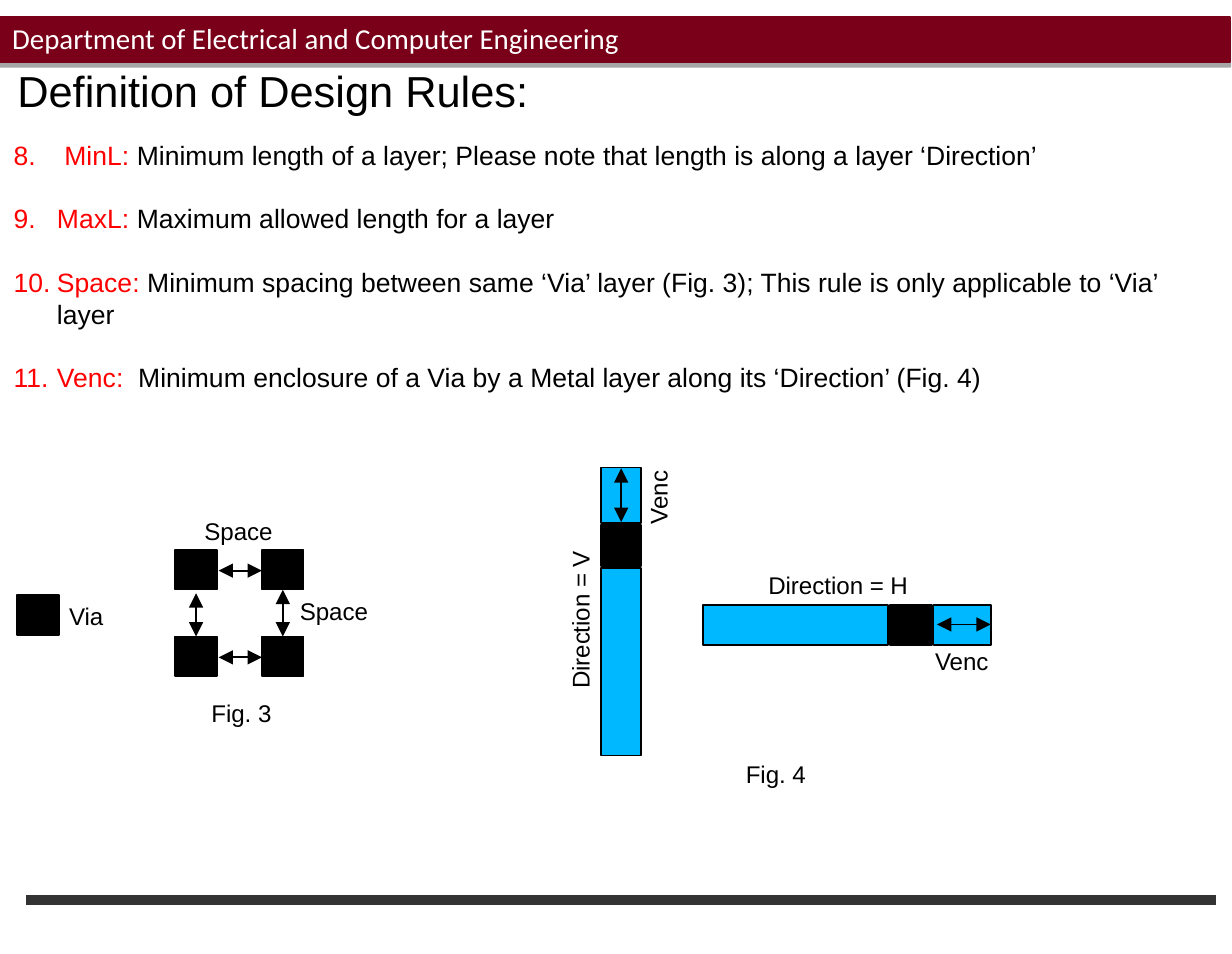
from dataclasses import dataclass
from itertools import product

from lxml.etree import SubElement as sub
from pptx import Presentation
from pptx.dml.color import RGBColor as RGB
from pptx.enum.shapes import MSO_CONNECTOR as CONNECTOR, MSO_SHAPE as SHAPE
from pptx.enum.text import MSO_ANCHOR as ANCHOR, MSO_AUTO_SIZE as AUTO, PP_ALIGN as ALIGN
from pptx.oxml.ns import qn
from pptx.util import Inches, Pt


@dataclass(frozen=True)
class Theme:
    maroon: RGB = RGB(0x7A, 0x00, 0x19)
    metal: RGB = RGB(0x00, 0xB8, 0xFF)
    red: RGB = RGB(0xFF, 0x00, 0x00)
    black: RGB = RGB(0x00, 0x00, 0x00)
    white: RGB = RGB(0xFF, 0xFF, 0xFF)
    rail: RGB = RGB(0x33, 0x33, 0x33)
    font: str = "Arial"
    banner_font: str = "Calibri"
    title_size: float = 18
    banner_size: float = 12
    rule_size: float = 11
    rule_pitch: float = 13.2
    label_size: float = 10
    outline: float = 0.75


RULES = [
    (" MinL:", " Minimum length of a layer; Please note that length is along a layer ‘Direction’"),
    ("MaxL: ", "Maximum allowed length for a layer"),
    ("Space:", " Minimum spacing between same ‘Via’ layer (Fig. 3); "
               "This rule is only applicable to ‘Via’ layer"),
    ("Venc:", "  Minimum enclosure of a Via by a Metal layer along its ‘Direction’ (Fig. 4)"),
]
FIRST_RULE = 8
VIA_SIZE = (0.24, 0.23)
VIA_LEFT, VIA_TOP, VIA_PITCH = 1.01, 3.17, 0.5
LABELS = [
    ("Fig. 3", 1.12, 3.98, 0.54, 0),
    ("Space", 1.63, 3.39, 0.59, 0),
    ("Space", 1.08, 2.93, 0.59, 0),
    ("Fig. 4", 4.2, 4.33, 0.54, 0),
    ("Venc", 5.29, 3.68, 0.51, 0),
    ("Direction = H", 4.33, 3.24, 1, 0),
    ("Venc", 3.54, 2.73, 0.51, 270),
    ("Direction = V", 2.85, 3.44, 0.99, 270),
    ("Via", 0.3, 3.42, 0.4, 0),
]
METALS = [
    (4.05, 3.49, 1.07, 0),
    (5.38, 3.49, 0.33, 0),
    (3.04, 3.7, 1.08, 270),
    (3.42, 2.74, 0.32, 270),
]
ARROWS = [
    (1.63, 3.67, 1.63, 3.4),
    (1.13, 3.67, 1.13, 3.42),
    (1.26, 3.29, 1.51, 3.29),
    (1.26, 3.79, 1.51, 3.79),
    (5.4, 3.6, 5.71, 3.6),
    (3.58, 3.01, 3.58, 2.7),
]


def write(para, text, *, size, color, font):
    span = para.add_run()
    span.text = text
    span.font.size = Pt(size)
    span.font.name = font
    span.font.color.rgb = color


def set_margins(frame, across, down):
    frame.margin_left = frame.margin_right = Inches(across)
    frame.margin_top = frame.margin_bottom = Inches(down)


class SlideBuilder:
    """Draws styled elements on the current slide."""

    def __init__(self, page, theme):
        self.page = page
        self.theme = theme

    def rect(self, left, top, width, height, color, line=None, rotation=0):
        box = self.page.shapes.add_shape(
            SHAPE.RECTANGLE, Inches(left), Inches(top), Inches(width), Inches(height))
        box.shadow.inherit = False
        box.fill.solid()
        box.fill.fore_color.rgb = color
        box.line.color.rgb = line or self.theme.black
        box.line.width = Pt(self.theme.outline)
        box.rotation = rotation
        return box

    def via(self, left, top, rotation=0):
        self.rect(left, top, *VIA_SIZE, self.theme.black, rotation=rotation)

    def line(self, x1, y1, x2, y2, color, width):
        link = self.page.shapes.add_connector(
            CONNECTOR.STRAIGHT, Inches(x1), Inches(y1), Inches(x2), Inches(y2))
        link.line.color.rgb = color
        link.line.width = Pt(width)
        sub(link.element.spPr, qn("a:effectLst"))
        return link

    def arrow(self, *ends):
        link = self.line(*ends, self.theme.black, self.theme.outline)
        stroke = link.line._get_or_add_ln()
        for tip in ("a:headEnd", "a:tailEnd"):
            sub(stroke, qn(tip), type="triangle")

    def banner(self, text):
        theme = self.theme
        box = self.rect(0, 0.1, 7.09, 0.26, theme.maroon, theme.maroon)
        effects = box.element.spPr.find(qn("a:effectLst"))
        shadow = sub(effects, qn("a:outerShdw"), dist=str(Pt(1.8)),
                     dir="5400000", algn="t", rotWithShape="0")
        shade = sub(shadow, qn("a:srgbClr"), val=str(theme.black))
        sub(shade, qn("a:alpha"), val="35000")
        frame = box.text_frame
        frame.vertical_anchor = ANCHOR.BOTTOM
        set_margins(frame, 0.07, 0.04)
        para = frame.paragraphs[0]
        para.alignment = ALIGN.LEFT
        write(para, text, size=theme.banner_size, color=theme.white, font=theme.banner_font)

    def title(self, text):
        theme = self.theme
        box = self.page.shapes.title
        box.left, box.top, box.width, box.height = map(Inches, (0.1, 0.08, 6.87, 0.92))
        box.element.getparent().append(box.element)
        frame = box.text_frame
        frame.vertical_anchor = ANCHOR.MIDDLE
        frame.auto_size = AUTO.NONE
        set_margins(frame, 0, 0)
        para = frame.paragraphs[0]
        para.alignment = ALIGN.LEFT
        para.line_spacing = 0.9
        write(para, text, size=theme.title_size, color=theme.black, font=theme.font)

    def text_box(self, left, top, width, height):
        box = self.page.shapes.add_textbox(
            Inches(left), Inches(top), Inches(width), Inches(height))
        set_margins(box.text_frame, 0.1, 0.05)
        box.text_frame.word_wrap = True
        box.text_frame.auto_size = AUTO.NONE
        return box

    def rules(self, rules):
        theme = self.theme
        frame = self.text_box(-0.02, 0.75, 7.11, 2.12).text_frame
        for index, (name, meaning) in enumerate(rules):
            para = frame.add_paragraph() if index else frame.paragraphs[0]
            para.line_spacing = Pt(theme.rule_pitch)
            para.space_before = Pt(theme.rule_pitch if index else 0)
            props = para._p.get_or_add_pPr()
            props.set("marL", str(Inches(0.25)))
            props.set("indent", str(-Inches(0.25)))
            sub(sub(props, qn("a:buClr")), qn("a:srgbClr"), val=str(theme.red))
            sub(props, qn("a:buFont"), typeface=theme.font)
            sub(props, qn("a:buAutoNum"), type="arabicPeriod", startAt=str(FIRST_RULE))
            for text, color in ((name, theme.red), (meaning, theme.black)):
                write(para, text, size=theme.rule_size, color=color, font=theme.font)

    def label(self, text, left, top, width, rotation):
        theme = self.theme
        box = self.text_box(left, top, width, 0.27)
        box.rotation = rotation
        box.text_frame.margin_right = 0
        write(box.text_frame.paragraphs[0], text,
              size=theme.label_size, color=theme.black, font=theme.font)


def main():
    deck = Presentation()
    deck.slide_width, deck.slide_height = Inches(7.1), Inches(5.5)
    theme = Theme()
    slide = SlideBuilder(deck.slides.add_slide(deck.slide_layouts[5]), theme)

    slide.line(0.15, 5.19, 7.01, 5.19, theme.rail, 4)
    slide.banner("Department of Electrical and Computer Engineering")
    slide.title("Definition of Design Rules:")
    slide.rules(RULES)

    for row, column in product(range(2), repeat=2):
        slide.via(VIA_LEFT + column * VIA_PITCH, VIA_TOP + row * VIA_PITCH)
    slide.via(0.1, 3.43)
    slide.via(5.13, 3.49)
    slide.via(3.46, 3.03, rotation=270)
    for left, top, length, rotation in METALS:
        slide.rect(left, top, length, VIA_SIZE[1], theme.metal, rotation=rotation)
    for ends in ARROWS:
        slide.arrow(*ends)
    for label in LABELS:
        slide.label(*label)

    deck.save("out.pptx")


if __name__ == "__main__":
    main()
